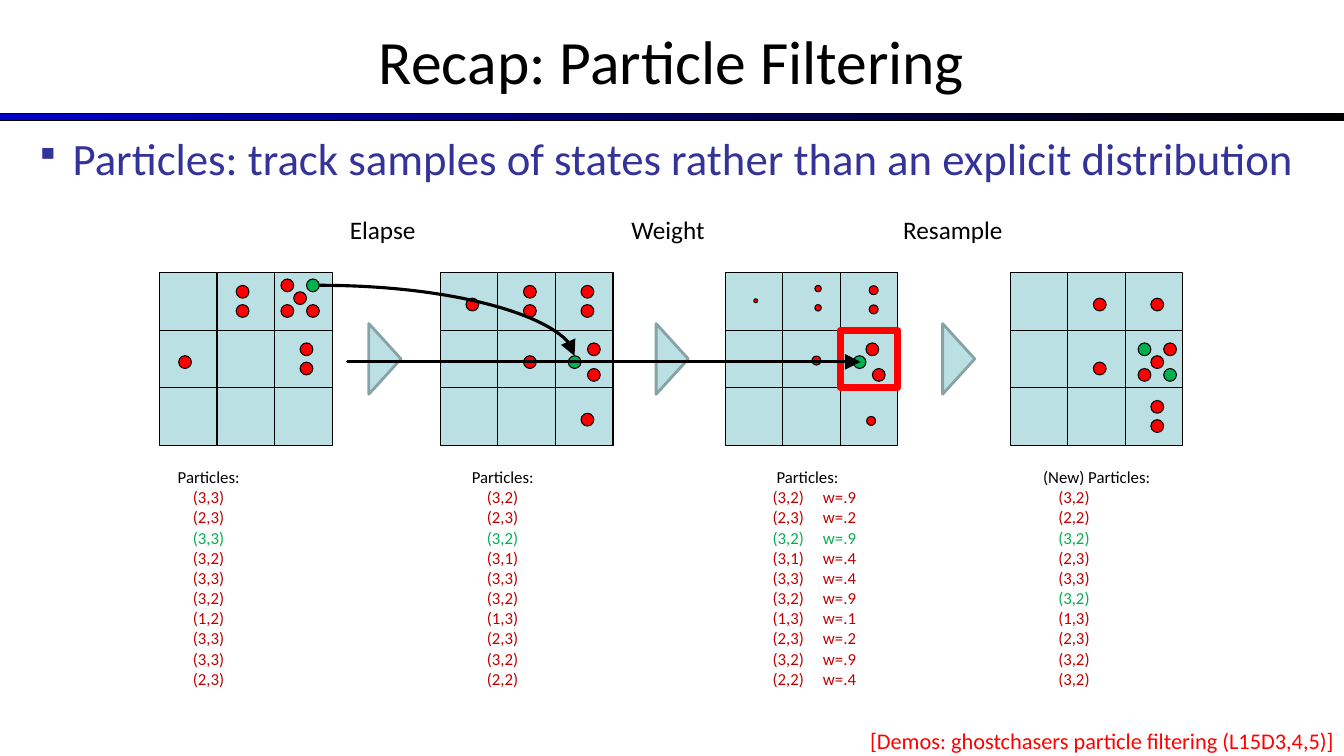
from dataclasses import dataclass

import pptx
import pptx.dml.color
import pptx.enum.shapes
import pptx.enum.text
import pptx.oxml
import pptx.oxml.ns
import pptx.util
from pptx.util import Cm

SHAPE = pptx.enum.shapes.MSO_SHAPE
ALIGN = pptx.enum.text.PP_ALIGN
ANCHOR = pptx.enum.text.MSO_ANCHOR


@dataclass(frozen=True)
class Theme:
    """Colours, font and type sizes of the slide."""
    font: str = "Calibri"
    ink: str = "000000"
    bar: str = "0000CC"
    body: str = "333399"
    cell: str = "BBE0E3"
    step_edge: str = "88A3A5"
    particle: str = "FF0000"
    tracked: str = "00B050"
    sample: str = "C00000"
    title_size: int = 44
    body_size: int = 32
    label_size: int = 18
    demo_size: int = 16
    list_size: int = 12


THEME = Theme()
CELL = 1.45
UNIT = CELL / 9
GRID_TOP = 6.87
GRID_LEFTS = [4.02, 11.1, 18.28, 25.46]
STEP_CENTERS = [9.7, 16.94, 24.16]
LIST_LEFTS = [4.23, 11.64, 18.84, 26.04]

PARTICLES = [
    [(13, 3), (13, 6), (20, 2), (20, 6), (22, 4), (24, 6), (23, 12), (23, 15), (4, 14)],
    [(24, 12), (24, 16), (23, 3), (23, 6), (14, 3), (14, 6), (14, 14), (23, 23), (5, 5)],
    [(24, 16), (23.2, 2.75, 1.4), (23.2, 5.75, 1.4), (14.25, 13.75, 1.4),
     (22.8, 23.2, 1.4), (14.5, 2.5, 1), (14.5, 5.5, 1), (4.75, 4.4, 0.6)],
    [(21, 16), (25, 12), (23, 14), (14, 15), (23, 5), (23, 21), (23, 24), (14, 5)],
]
TRACKED = [[(24, 2)], [(21, 14)], [(21, 14)], [(21, 12), (25, 16)]]

SAMPLES = [
    "(3,3) (2,3) (3,3) (3,2) (3,3) (3,2) (1,2) (3,3) (3,3) (2,3)",
    "(3,2) (2,3) (3,2) (3,1) (3,3) (3,2) (1,3) (2,3) (3,2) (2,2)",
    "(3,2) (2,3) (3,2) (3,1) (3,3) (3,2) (1,3) (2,3) (3,2) (2,2)",
    "(3,2) (2,2) (3,2) (2,3) (3,3) (3,2) (1,3) (2,3) (3,2) (3,2)",
]
WEIGHTS = ".9 .2 .9 .4 .4 .9 .1 .2 .9 .4".split()
TRACKED_ROWS = [{2}, {2}, {2}, {2, 5}]
LIST_HEADS = ["Particles:", "Particles:", "Particles:", "(New) Particles:"]
HEAD_INDENTS = [0, 0, 0.48, 0]


def rgb(code):
    """Turn a hex code into a colour."""
    return pptx.dml.color.RGBColor.from_string(code)


def write(frame, text, *, size, color=THEME.ink, align=ALIGN.LEFT, indent=0,
          hanging=0, bullet=None, tab=None, new=False):
    """Write one formatted paragraph into a text frame."""
    line = frame.add_paragraph() if new else frame.paragraphs[0]
    line.alignment = align
    props = line._p.get_or_add_pPr()
    if indent:
        props.set("marL", str(Cm(indent)))
        props.set("indent", str(-Cm(hanging)))
    ns = pptx.oxml.ns.nsdecls("a")
    if bullet:
        props.append(pptx.oxml.parse_xml(f'<a:buSzPct {ns} val="75000"/>'))
        props.append(pptx.oxml.parse_xml(f'<a:buChar {ns} char="{bullet}"/>'))
    if tab:
        props.append(pptx.oxml.parse_xml(
            f'<a:tabLst {ns}><a:tab pos="{Cm(tab)}" algn="l"/></a:tabLst>'))
    run = line.add_run()
    run.text = text
    run.font.size = pptx.util.Pt(size)
    run.font.name = THEME.font
    run.font.color.rgb = rgb(color)


def add_box(slide, left, top, width, height):
    """Add a wrapping text box and return its frame."""
    frame = slide.shapes.add_textbox(Cm(left), Cm(top), Cm(width), Cm(height)).text_frame
    frame.word_wrap = True
    return frame


def add_block(shapes, kind, left, top, width, height, fill=None, edge=THEME.ink, weight=0.75):
    """Add a flat shape with an outline and an optional fill."""
    block = shapes.add_shape(kind, Cm(left), Cm(top), Cm(width), Cm(height))
    block.shadow.inherit = False
    if fill:
        block.fill.solid()
        block.fill.fore_color.rgb = rgb(fill)
    else:
        block.fill.background()
    block.line.color.rgb = rgb(edge)
    block.line.width = pptx.util.Pt(weight)
    return block


def add_particle(shapes, grid_left, color, column, row, size=2):
    """Add a particle centred on a point counted in ninths of a cell."""
    add_block(shapes, SHAPE.OVAL, grid_left + (column - size / 2) * UNIT,
              GRID_TOP + (row - size / 2) * UNIT, size * UNIT, size * UNIT, color)


def add_grid(shapes, left, particles, tracked):
    """Add a three by three grid with its particles."""
    for row in range(3):
        for column in range(3):
            add_block(shapes, SHAPE.RECTANGLE, left + column * CELL, GRID_TOP + row * CELL,
                      CELL, CELL, THEME.cell)
    for color, spots in ((THEME.particle, particles), (THEME.tracked, tracked)):
        for spot in spots:
            add_particle(shapes, left, color, *spot)


def add_step(shapes, center):
    """Add the triangle that points to the next grid."""
    step = add_block(shapes, SHAPE.ISOSCELES_TRIANGLE, center - 0.89, 8.64, 1.78, 0.81,
                     THEME.cell, THEME.step_edge, 2)
    step.rotation = 90


def add_arrow(shapes, start, end, preset, bend=None):
    """Add a curved arrow between two points."""
    arrow = shapes.add_connector(pptx.enum.shapes.MSO_CONNECTOR.CURVE,
                                 *[Cm(value) for value in start + end])
    arrow.line.color.rgb = rgb(THEME.ink)
    arrow.line.width = pptx.util.Pt(2.25)
    ns = pptx.oxml.ns.nsdecls("a")
    arrow.line._get_or_add_ln().append(
        pptx.oxml.parse_xml(f'<a:tailEnd {ns} type="triangle" w="lg" len="lg"/>'))
    props = arrow._element.spPr
    props.append(pptx.oxml.parse_xml(f"<a:effectLst {ns}/>"))
    geometry = props.find(pptx.oxml.ns.qn("a:prstGeom"))
    geometry.set("prst", preset)
    if bend is not None:
        geometry.find(pptx.oxml.ns.qn("a:avLst")).append(
            pptx.oxml.parse_xml(f'<a:gd {ns} name="adj1" fmla="val {bend}"/>'))


def add_samples(slide, index):
    """Add the list of samples below a grid."""
    frame = add_box(slide, LIST_LEFTS[index], 11.64, 3.81, 5.89)
    write(frame, LIST_HEADS[index], size=THEME.list_size, indent=HEAD_INDENTS[index])
    weighted = index == 2
    for row, (state, weight) in enumerate(zip(SAMPLES[index].split(), WEIGHTS)):
        write(frame, f"{state}\tw={weight}" if weighted else state, new=True,
              size=THEME.list_size, indent=0.38, tab=1.06 if weighted else None,
              color=THEME.tracked if row in TRACKED_ROWS[index] else THEME.sample)


def add_heading(slide):
    """Fill the title and add the bar and the bullet below it."""
    title = slide.shapes.title
    title.left, title.top, title.width, title.height = Cm(0), Cm(-0.08), Cm(33.87), Cm(3.18)
    title.text_frame.vertical_anchor = ANCHOR.MIDDLE
    write(title.text_frame, "Recap: Particle Filtering", size=THEME.title_size,
          align=ALIGN.CENTER)
    bar = add_block(slide.shapes, SHAPE.RECTANGLE, 0, 2.87, 33.87, 0.18)
    bar.fill.gradient()
    bar.fill.gradient_angle = 0
    for stop, color in zip(bar.fill.gradient_stops, (THEME.bar, THEME.ink)):
        stop.color.rgb = rgb(color)
    write(add_box(slide, 0.64, 3.18, 32.59, 12.57),
          "Particles: track samples of states rather than an explicit distribution",
          size=THEME.body_size, color=THEME.body, indent=0.94, hanging=0.94, bullet="▪")


def main():
    """Build and save the slide."""
    deck = pptx.Presentation()
    deck.slide_width, deck.slide_height = Cm(33.87), Cm(19.05)
    slide = deck.slides.add_slide(deck.slide_layouts[5])
    add_heading(slide)
    for index, left in enumerate(GRID_LEFTS):
        panel = slide.shapes.add_group_shape().shapes
        if index:
            add_step(panel, STEP_CENTERS[index - 1])
        add_grid(panel, left, PARTICLES[index], TRACKED[index])
        if index == 1:
            add_arrow(panel, (8.05, 7.19), (14.48, 8.97), "curvedConnector2")
        if index == 2:
            add_block(panel, SHAPE.RECTANGLE, left + 2 * CELL, GRID_TOP + CELL, CELL, CELL,
                      edge=THEME.particle, weight=5)
            add_arrow(panel, (14.66, 9.12), (21.69, 9.12), "curvedConnector3", -83900)
            add_particle(panel, left, THEME.particle, 23, 12)
        add_samples(slide, index)
    for left, step in zip((7.42, 14.61, 21.79), ("Elapse", "Weight", "Resample")):
        write(add_box(slide, left, 5.28, 4.45, 1.02), step, size=THEME.label_size,
              align=ALIGN.CENTER)
    write(add_box(slide, 20.75, 18.21, 13.12, 0.84),
          "[Demos: ghostchasers particle filtering (L15D3,4,5)]",
          size=THEME.demo_size, color=THEME.particle, align=ALIGN.RIGHT)
    deck.save("out.pptx")


if __name__ == "__main__":
    main()
